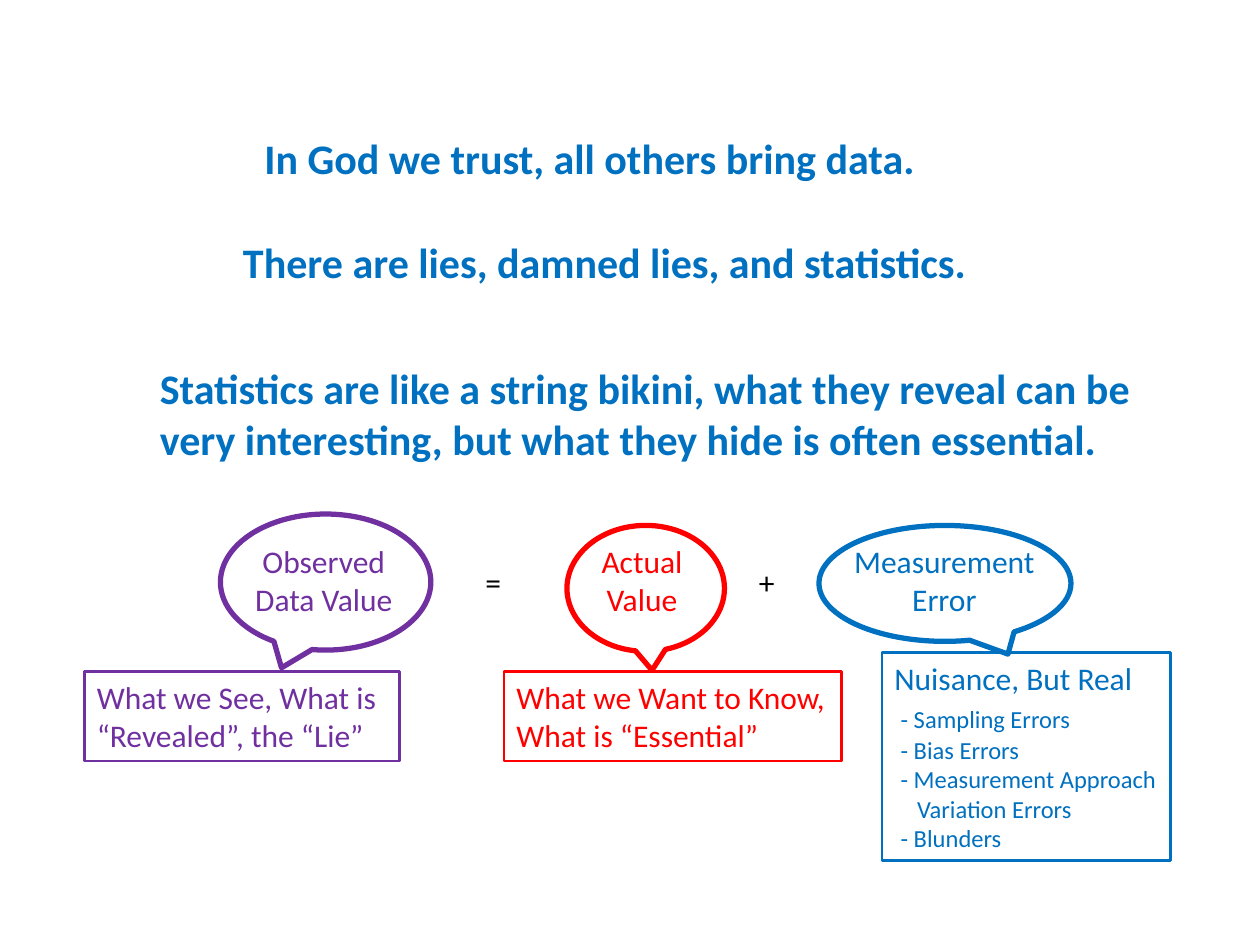
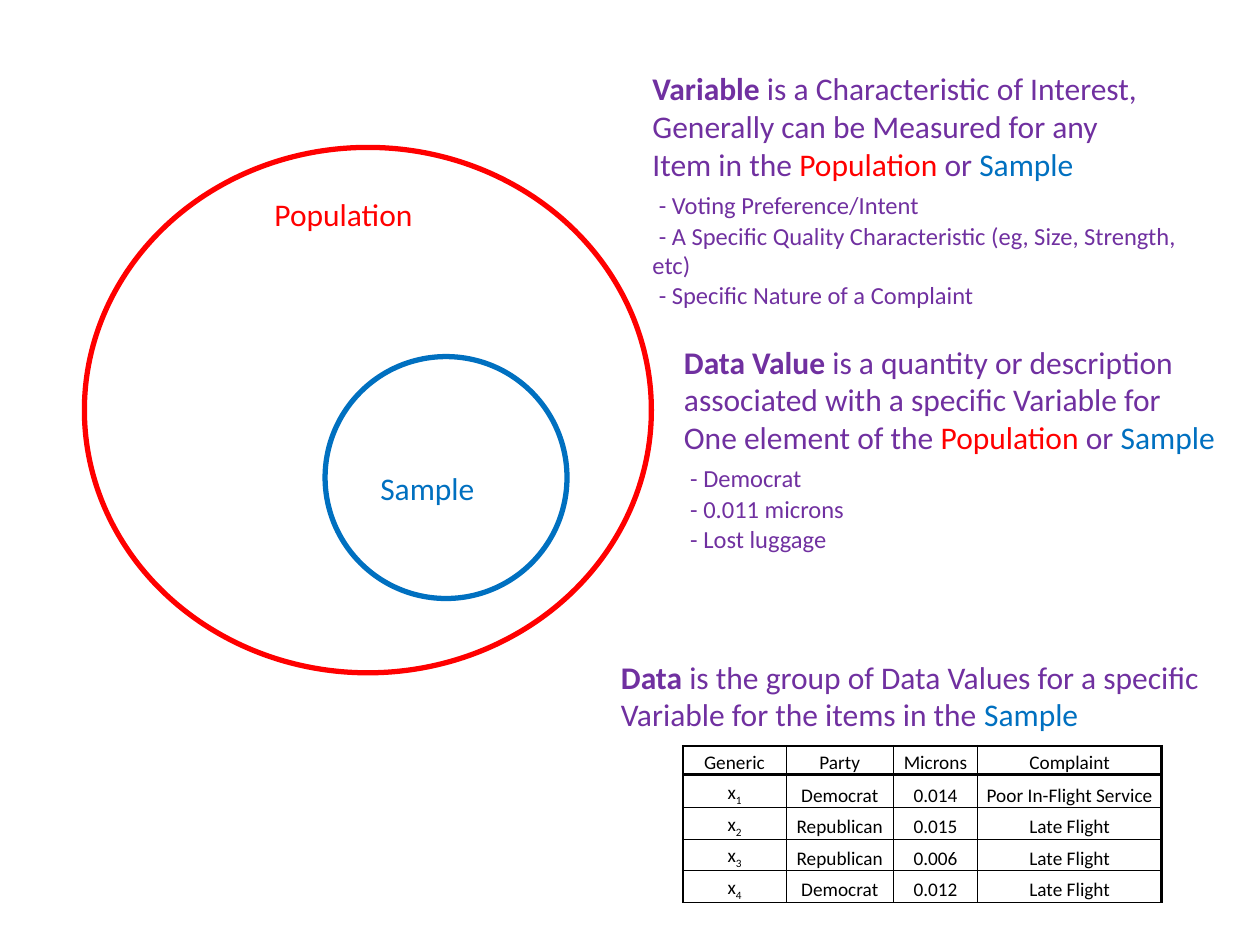
from lxml.etree import SubElement
from pptx import Presentation
from pptx.dml.color import RGBColor
from pptx.enum.shapes import MSO_SHAPE
from pptx.enum.text import MSO_ANCHOR, MSO_AUTO_SIZE, PP_ALIGN
from pptx.oxml.ns import qn
from pptx.util import Inches, Pt

BLUE = RGBColor(0x00, 0x70, 0xC0)
PURPLE = RGBColor(0x70, 0x30, 0xA0)
RED = RGBColor(0xFF, 0x00, 0x00)
BLACK = RGBColor(0x00, 0x00, 0x00)
FONT = "Calibri"
QUOTE, BODY, DETAIL, CELL = 24, 18, 14, 11

# Boxes are (left, top, width, height) in inches.
QUOTES = [
    ((2, 1, 5.41, 0.51), ["In God we trust, all others bring data."]),
    ((1.83, 1.83, 6.01, 0.51), ["There are lies, damned lies, and statistics."]),
    ((1.17, 2.83, 7.98, 0.91),
     ["Statistics are like a string bikini, what they reveal can be",
      "very interesting, but what they hide is often essential."]),
]
EQUATION = [
    ((1.92, 4.25, 1.3, 0.71), PURPLE, ["Observed", "Data Value"]),
    ((3.75, 4.42, 0.33, 0.4), BLACK, ["="]),
    ((4.67, 4.25, 0.85, 0.71), RED, ["Actual", "Value"]),
    ((5.92, 4.42, 0.33, 0.4), BLACK, ["+"]),
    ((6.67, 4.25, 1.65, 0.71), BLUE, ["Measurement", "Error"]),
]
# colour, callout box, callout tip, note box, note lines, note details
CALLOUTS = [
    (PURPLE, (1.75, 4.08, 1.67, 1.08), (-0.21, 0.63), (0.67, 5.33, 2.5, 0.71),
     ["What we See, What is", "“Revealed”, the “Lie”"], []),
    (RED, (4.5, 4.17, 1.25, 1), (0.04, 0.65), (4, 5.33, 2.68, 0.71),
     ["What we Want to Know,", "What is “Essential”"], []),
    (BLUE, (6.5, 4.17, 2, 0.92), (0.25, 0.61), (7, 5.18, 2.29, 1.65),
     ["Nuisance, But Real"],
     ["- Sampling Errors", "- Bias Errors", "- Measurement Approach",
      "Variation Errors", "- Blunders"]),
]

SETS = [
    ("Population", RED, (0.67, 1.17, 4.5, 4.17), (2.08, 1.5, 1.31, 0.4)),
    ("Sample", BLUE, (2.58, 2.83, 1.92, 1.92), (2.92, 3.67, 0.96, 0.4)),
]
SET_COLORS = {name: color for name, color, *_ in SETS}
# box, lines as lists of runs (the first run is the bold term), details
DEFINITIONS = [
    ((5.08, 0.5, 4.69, 1.78),
     [["Variable", " is a Characteristic of Interest,"],
      ["Generally can be Measured for any"],
      ["Item in the ", "Population", " or ", "Sample"]],
     ["- Voting Preference/Intent",
      "- A Specific Quality Characteristic (eg, Size, Strength, etc)",
      "- Specific Nature of a Complaint"]),
    ((5.33, 2.67, 4.47, 1.78),
     [["Data Value", " is a quantity or description"],
      ["associated with a specific Variable for"],
      ["One element of the ", "Population", " or ", "Sample"]],
     ["- Democrat", "- 0.011 microns", "- Lost luggage"]),
    ((4.83, 5.17, 4.83, 0.71),
     [["Data", " is the group of Data Values for a specific"],
      ["Variable for the items in the ", "Sample"]], []),
]
HEADER = ["Generic", "Party", "Microns", "Complaint"]
RECORDS = [
    ("Democrat", "0.014", "Poor In-Flight Service"),
    ("Republican", "0.015", "Late Flight"),
    ("Republican", "0.006", "Late Flight"),
    ("Democrat", "0.012", "Late Flight"),
]
TABLE_BOX = (5.42, 5.92, 3.8, 1.24)
COL_WIDTHS = [0.82, 0.85, 0.67, 1.46]
ROW_HEIGHTS = [0.23, 0.26, 0.25, 0.25, 0.25]
THIN, OUTER, HEADER_RULE = 0.5, 1.5, 2


def inches(box):
    return [Inches(v) for v in box]


def style(p, size, color, bold=False):
    p.font.name = FONT
    p.font.size = Pt(size)
    p.font.bold = bold
    p.font.color.rgb = color


def write(tf, color, lines, details=(), size=BODY, bold=False, align=PP_ALIGN.LEFT,
          wrap=False):
    """Fill a frame with main lines (a string or a list of runs), then smaller details."""
    tf.word_wrap = wrap
    tf.auto_size = MSO_AUTO_SIZE.SHAPE_TO_FIT_TEXT
    tf.vertical_anchor = MSO_ANCHOR.TOP
    for i, line in enumerate([*lines, *details]):
        p = tf.paragraphs[0] if i == 0 else tf.add_paragraph()
        p.alignment = align
        is_detail = i >= len(lines)
        if is_detail:
            indent = 0.05 if line.startswith("-") else 0.18
            p._p.get_or_add_pPr().set("indent", str(Inches(indent)))
            if i == len(lines):
                p.space_before, p.space_after = Pt(4), Pt(1)
        style(p, DETAIL if is_detail else size, color, bold)
        for text in [line] if isinstance(line, str) else line:
            r = p.add_run()
            r.text = text
            if text in SET_COLORS:
                r.font.color.rgb = SET_COLORS[text]


def add_text(s, box, *args, **kwargs):
    tf = s.shapes.add_textbox(*inches(box)).text_frame
    write(tf, *args, **kwargs)
    return tf


def add_outline(s, kind, box, color, width):
    sp = s.shapes.add_shape(kind, *inches(box))
    sp.shadow.inherit = False
    sp.fill.background()
    sp.line.color.rgb = color
    sp.line.width = Pt(width)
    return sp


def set_borders(cell, **widths):
    """Draw black borders; widths in points, keyed L, R, T, B in that order."""
    tcPr = cell._tc.get_or_add_tcPr()
    for i, (side, width) in enumerate(widths.items()):
        ln = SubElement(tcPr, qn(f"a:ln{side}"), w=str(Pt(width)))
        fill = SubElement(ln, qn("a:solidFill"))
        SubElement(fill, qn("a:srgbClr"), val=str(BLACK))
        tcPr.insert(i, ln)


def add_data_table(s):
    rows = [HEADER] + [("x", *record) for record in RECORDS]
    table = s.shapes.add_table(len(rows), len(HEADER), *inches(TABLE_BOX)).table
    table.first_row = table.horz_banding = False
    for col, width in zip(table.columns, COL_WIDTHS):
        col.width = Inches(width)
    for row, height in zip(table.rows, ROW_HEIGHTS):
        row.height = Inches(height)
    last = len(HEADER) - 1
    for i, row in enumerate(rows):
        for j, text in enumerate(row):
            cell = table.cell(i, j)
            cell.fill.background()
            cell.vertical_anchor = MSO_ANCHOR.BOTTOM
            cell.margin_left = cell.margin_right = cell.margin_top = Inches(0.01)
            cell.margin_bottom = 0
            p = cell.text_frame.paragraphs[0]
            p.alignment = PP_ALIGN.CENTER
            style(p, CELL, BLACK)
            p.add_run().text = text
            if i and j == 0:
                r = p.add_run()
                r.text = str(i)
                r._r.get_or_add_rPr().set("baseline", "-25000")
            set_borders(cell,
                        L=OUTER if j == 0 else THIN,
                        R=OUTER if j == last else THIN,
                        T={0: OUTER, 1: HEADER_RULE}.get(i, THIN),
                        B=HEADER_RULE if i == 0 else THIN)


def build_quotes_slide(s):
    for box, lines in QUOTES:
        add_text(s, box, BLUE, lines, size=QUOTE, bold=True)
    for box, color, lines in EQUATION:
        add_text(s, box, color, lines, align=PP_ALIGN.CENTER)
    for color, bubble_box, tip, note_box, lines, details in CALLOUTS:
        note = add_outline(s, MSO_SHAPE.RECTANGLE, note_box, color, 1.5)
        write(note.text_frame, color, lines, details)
        bubble = add_outline(s, MSO_SHAPE.OVAL_CALLOUT, bubble_box, color, 3)
        bubble.adjustments[0], bubble.adjustments[1] = tip


def build_definitions_slide(s):
    for name, color, oval_box, label_box in SETS:
        add_outline(s, MSO_SHAPE.OVAL, oval_box, color, 3)
        add_text(s, label_box, color, [name])
    for i, (box, lines, details) in enumerate(DEFINITIONS):
        tf = add_text(s, box, PURPLE, lines, details, wrap=i == 0)
        tf.paragraphs[0].runs[0].font.bold = True
    add_data_table(s)


def main():
    prs = Presentation()
    prs.slide_width, prs.slide_height = Inches(10), Inches(7.5)
    blank = prs.slide_layouts[6]
    for build in (build_quotes_slide, build_definitions_slide):
        build(prs.slides.add_slide(blank))
    prs.save("out.pptx")


if __name__ == "__main__":
    main()
